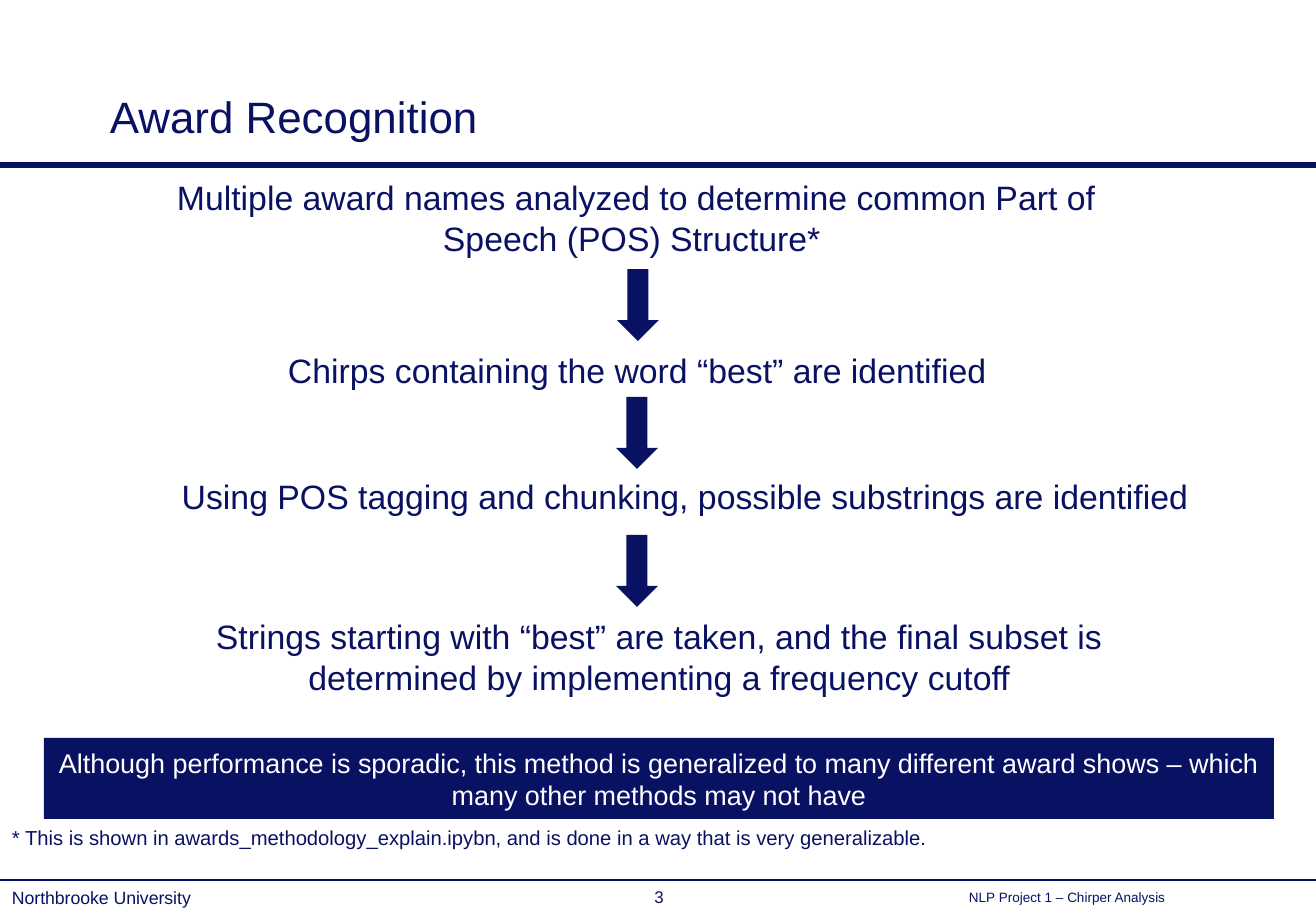
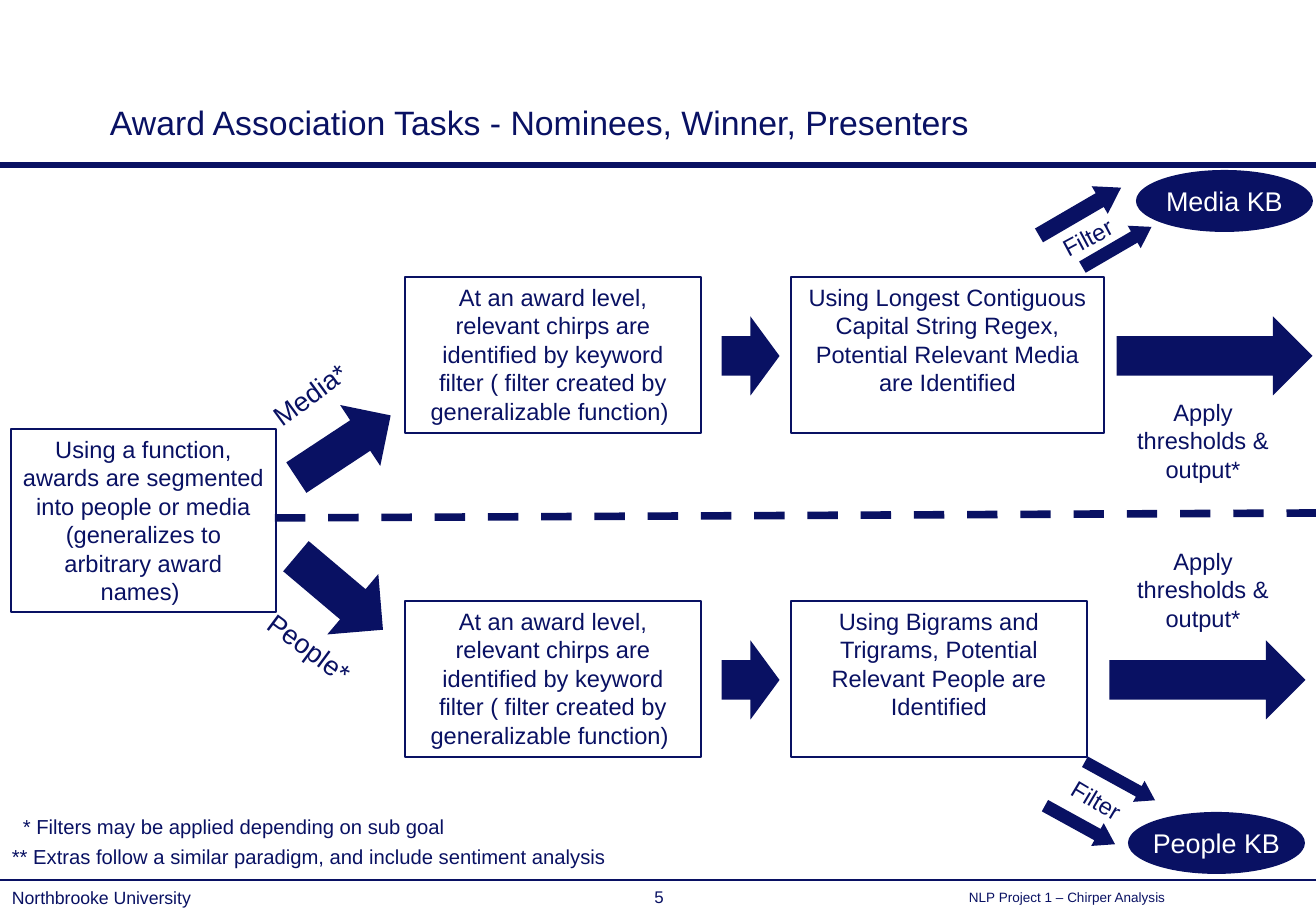
from pptx import Presentation
from pptx.dml.color import RGBColor
from pptx.enum.dml import MSO_LINE
from pptx.enum.shapes import MSO_CONNECTOR, MSO_SHAPE
from pptx.enum.text import MSO_ANCHOR as Anchor, PP_ALIGN as Align
from pptx.oxml.ns import qn
from pptx.util import Pt
from lxml import etree

NAVY = RGBColor(0x09, 0x11, 0x63)
WHITE = RGBColor(0xFF, 0xFF, 0xFF)
FONT = "Arial"
PX = 914400 / 121.5
WIDTH, HEIGHT = 1316, 911

SCHOOL = "Northbrooke University"
PROJECT = "NLP Project 1 – Chirper Analysis"

RECOGNITION_STEPS = [
    ("Multiple award names analyzed to determine common Part of "
     "Speech (POS) Structure* ", (141, 171, 991, 94)),
    ("Chirps containing the word “best” are identified", (142, 344, 991, 53)),
    ("Using POS tagging and chunking, possible substrings are identified",
     (152, 470, 1067, 53)),
    ("Strings starting with “best” are taken, and the final subset is "
     "determined by implementing a frequency cutoff", (126, 610, 1067, 94)),
]
STEP_ARROWS = [(617, 269), (616, 397), (616, 535)]
CONCLUSION = ("Although performance is sporadic, this method is generalized to many "
              "different award shows – which many other methods may not have")
RECOGNITION_NOTE = ("* This is shown in awards_methodology_explain.ipybn, and is done "
                    "in a way that is very generalizable.")

SEGMENTATION = ("Using a function, awards are segmented into people or media "
                "(generalizes to arbitrary award names) ")
KEYWORD_FILTER = ("At an award level, relevant chirps are identified by keyword filter "
                  "( filter created by generalizable function) ")
OUTPUT = "Apply thresholds & output*"
LANES = [
    {
        "extraction": "Using Longest Contiguous Capital String Regex, "
                      "Potential Relevant Media are Identified",
        "extraction_width": 313,
        "output_arrow": 1175,
        "output_top": 392,
        "branch": ("Media*", (221, 329, 177, 130), 323.8),
        "branch_arrow": ((307, 390, 73, 113), 236.6),
        "base": ("Media KB", (1136, 170, 177, 62)),
        "filter": ((999, 217, 177, 41), 331.9),
        "filter_arrows": [(1064, 164, 32, 95), (1104, 207, 26, 80)],
        "filter_turn": 239.8,
    },
    {
        "extraction": "Using Bigrams and Trigrams, Potential Relevant People are Identified",
        "extraction_width": 296,
        "output_arrow": 1168,
        "output_top": 541,
        "branch": ("People*", (237, 625, 145, 45), 36.6),
        "branch_arrow": ((300, 536, 79, 114), 310.2),
        "base": ("People KB", (1128, 812, 177, 62)),
        "filter": ((1008, 780, 177, 41), 30.8),
        "filter_arrows": [(1108, 741, 24, 80), (1067, 785, 26, 80)],
        "filter_turn": 298.8,
    },
]
LANE_TOP, LANE_STEP, BOX_HEIGHT = 277, 324, 156
ASSOCIATION_NOTES = [
    ("* Filters may be applied depending on sub goal", (11, 808, 462, 36)),
    ("** Extras follow a similar paradigm, and include sentiment analysis",
     (0, 838, 627, 36)),
]


def emu(*lengths):
    return [round(length * PX) for length in lengths]


def write(shape, text, size, color=NAVY, align=Align.CENTER, anchor=Anchor.TOP,
          wrap=True):
    frame = shape.text_frame
    frame.word_wrap = wrap
    frame.vertical_anchor = anchor
    paragraph = frame.paragraphs[0]
    paragraph.alignment = align
    run = paragraph.add_run()
    run.text = text
    run.font.size = Pt(size)
    run.font.name = FONT
    run.font.color.rgb = color
    return paragraph


def add_text(slide, text, box, size, turn=0, **style):
    label = slide.shapes.add_textbox(*emu(*box))
    label.rotation = turn
    return write(label, text, size, **style)


def add_solid(slide, kind, box, turn=0):
    solid = slide.shapes.add_shape(kind, *emu(*box))
    solid.shadow.inherit = False
    solid.fill.solid()
    solid.fill.fore_color.rgb = NAVY
    solid.line.fill.background()
    solid.rotation = turn
    return solid


def add_arrow(slide, box, turn=0, head=0.5):
    arrow = add_solid(slide, MSO_SHAPE.DOWN_ARROW, box, turn)
    arrow.adjustments[1] = head


def add_outlined(slide, text, box):
    outlined = add_solid(slide, MSO_SHAPE.RECTANGLE, box)
    outlined.fill.background()
    outlined.line.color.rgb = NAVY
    outlined.line.width = Pt(0.75)
    write(outlined, text, 14)


def add_line(slide, ends, weight, dash=None):
    line = slide.shapes.add_connector(MSO_CONNECTOR.STRAIGHT, *emu(*ends))
    line.line.color.rgb = NAVY
    line.line.width = Pt(weight)
    if dash:
        line.line.dash_style = dash
    etree.SubElement(line._element.spPr, qn("a:effectLst"))


def add_page(deck, title, title_size, number):
    slide = deck.slides.add_slide(deck.slide_layouts[6])
    add_line(slide, (0, 880, WIDTH, 880), 1)
    add_line(slide, (0, 165, WIDTH, 165), 3)
    heading = add_text(slide, title, (98, 6, 1189, 143), title_size,
                       align=Align.LEFT, anchor=Anchor.BOTTOM)
    heading.line_spacing = 0.9
    for text, box, size, align in [
        (SCHOOL, (0, 886, 542, 23), 10.5, Align.LEFT),
        (number, (617, 882, 84, 29), 10, Align.CENTER),
        (PROJECT, (957, 886, 359, 23), 8, Align.LEFT),
    ]:
        add_text(slide, text, box, size, align=align, anchor=Anchor.MIDDLE)
    return slide


def build_recognition(deck):
    slide = add_page(deck, "Award Recognition", 26, "3")
    for step, box in RECOGNITION_STEPS:
        add_text(slide, step, box, 20)
    for left, top in STEP_ARROWS:
        add_arrow(slide, (left, top, 42, 72))
    band = add_solid(slide, MSO_SHAPE.RECTANGLE, (44, 738, 1230, 81))
    write(band, CONCLUSION, 16, WHITE, anchor=Anchor.MIDDLE)
    add_text(slide, RECOGNITION_NOTE, (0, 819, 951, 36), 12, align=Align.LEFT)


def build_lane(slide, lane, top):
    add_outlined(slide, KEYWORD_FILTER, (405, top, 296, BOX_HEIGHT))
    add_outlined(slide, lane["extraction"],
                 (791, top, lane["extraction_width"], BOX_HEIGHT))
    add_arrow(slide, (711, top + 50, 79, 58), 270)
    add_arrow(slide, (lane["output_arrow"], top - 19, 79, 196), 270)
    add_text(slide, OUTPUT, (1125, lane["output_top"], 156, 98), 14)

    add_arrow(slide, *lane["branch_arrow"])
    branch, box, turn = lane["branch"]
    add_text(slide, branch, box, 16, turn, anchor=Anchor.MIDDLE, wrap=False)

    for box in lane["filter_arrows"]:
        add_arrow(slide, box, lane["filter_turn"], 0.77)
    box, turn = lane["filter"]
    add_text(slide, "Filter", box, 14, turn)
    base, box = lane["base"]
    write(add_solid(slide, MSO_SHAPE.OVAL, box), base, 16, WHITE,
          anchor=Anchor.MIDDLE, wrap=False)


def build_association(deck):
    slide = add_page(deck, "Award Association Tasks - Nominees, Winner, Presenters",
                     20, "5")
    add_outlined(slide, SEGMENTATION, (11, 429, 265, 183))
    add_line(slide, (275, 518, WIDTH, 513), 4.5, MSO_LINE.DASH)
    for index, lane in enumerate(LANES):
        build_lane(slide, lane, LANE_TOP + index * LANE_STEP)
    for note, box in ASSOCIATION_NOTES:
        add_text(slide, note, box, 12, align=Align.LEFT)


deck = Presentation()
deck.slide_width, deck.slide_height = emu(WIDTH, HEIGHT)
build_recognition(deck)
build_association(deck)
deck.save("out.pptx")
